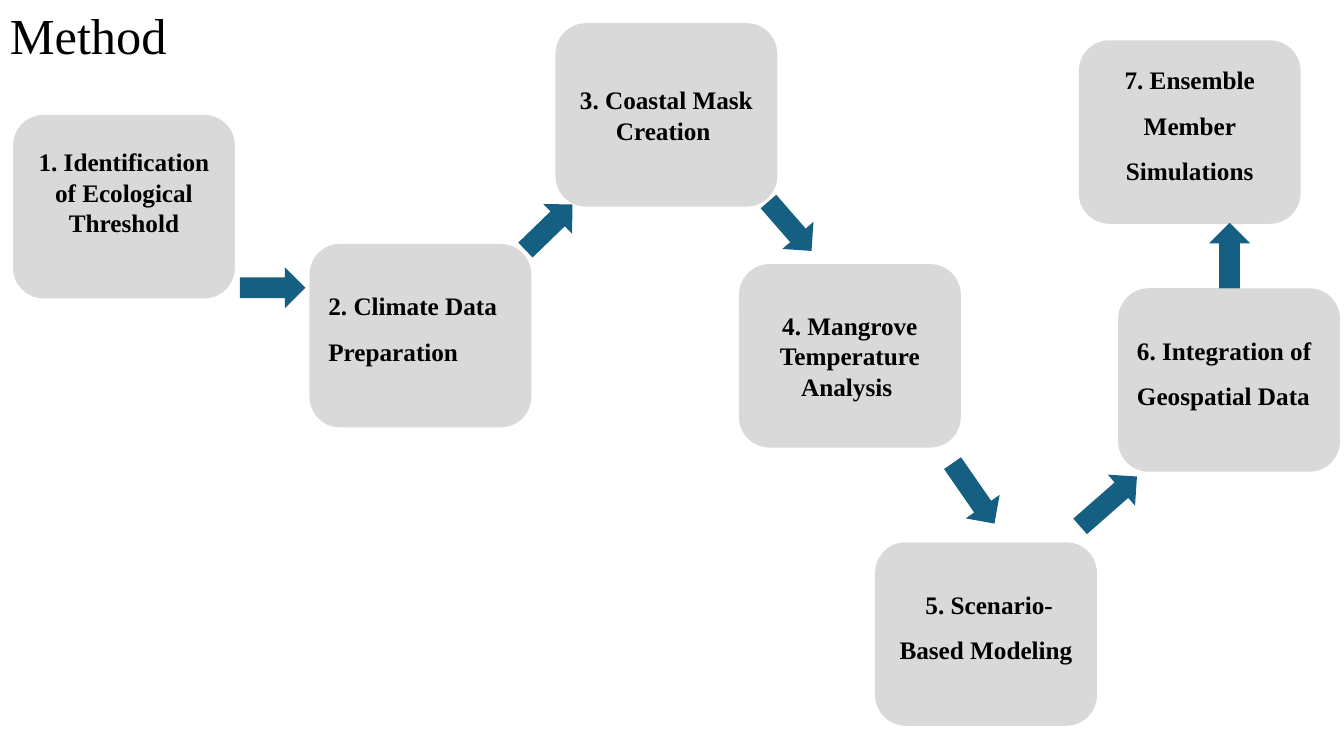
from dataclasses import dataclass

from pptx import Presentation
from pptx.dml.color import RGBColor
from pptx.enum.shapes import MSO_SHAPE
from pptx.enum.text import MSO_ANCHOR, PP_ALIGN
from pptx.slide import Slide
from pptx.util import Inches, Pt

ROUNDED = MSO_SHAPE.ROUNDED_RECTANGLE
ARROW = MSO_SHAPE.RIGHT_ARROW
MIDDLE = MSO_ANCHOR.MIDDLE
LEFT = PP_ALIGN.LEFT
CENTER = PP_ALIGN.CENTER

STEP_WIDTH, STEP_HEIGHT = 2.2, 1.82
ARROW_HEIGHT = 0.41
INSET = 0.05
LIFT = 0.29


@dataclass(frozen=True)
class Theme:
    font: str = "Times New Roman"
    title_size: int = 36
    step_size: int = 18
    text: RGBColor = RGBColor(0x00, 0x00, 0x00)
    step_fill: RGBColor = RGBColor(0xD9, 0xD9, 0xD9)
    arrow_fill: RGBColor = RGBColor(0x15, 0x60, 0x82)


@dataclass(frozen=True)
class Step:
    text: str
    left: float
    top: float
    align: PP_ALIGN = CENTER
    spacing: float = 1.0
    lifted: bool = True


@dataclass(frozen=True)
class Arrow:
    left: float
    top: float
    angle: float = 0
    width: float = 0.65


THEME = Theme()

STEPS = [
    Step("1. Identification of Ecological Threshold", 0.13, 1.14),
    Step("2. Climate Data Preparation", 3.07, 2.42, LEFT, 1.5),
    Step("3. Coastal Mask Creation ", 5.51, 0.23, lifted=False),
    Step("4. Mangrove Temperature Analysis ", 7.33, 2.62, lifted=False),
    Step(" 5. Scenario-Based Modeling", 8.68, 5.38, spacing=1.5),
    Step("6. Integration of Geospatial Data", 11.09, 2.86, LEFT, 1.5),
    Step("7. Ensemble Member Simulations", 10.7, 0.4, spacing=1.5),
]

ARROWS = [
    Arrow(2.38, 2.65),
    Arrow(5.12, 2.05, 315.9),
    Arrow(7.51, 2.04, 48.9),
    Arrow(9.29, 4.69, 55.3, 0.73),
    Arrow(10.62, 4.77, 318.7, 0.75),
    Arrow(11.87, 2.33, 270),
]


def write_text(sp, text: str, size: int, bold: bool, align: PP_ALIGN,
               spacing: float) -> None:
    tf = sp.text_frame
    tf.word_wrap = True
    tf.vertical_anchor = MIDDLE
    p = tf.paragraphs[0]
    p.alignment = align
    p.line_spacing = spacing
    r = p.add_run()
    r.text = text
    r.font.name = THEME.font
    r.font.size = Pt(size)
    r.font.bold = bold
    r.font.color.rgb = THEME.text


def add_filled_shape(s: Slide, kind: MSO_SHAPE, left: float, top: float,
                     width: float, height: float, fill: RGBColor):
    sp = s.shapes.add_shape(kind, Inches(left), Inches(top),
                            Inches(width), Inches(height))
    sp.shadow.inherit = False
    sp.fill.solid()
    sp.fill.fore_color.rgb = fill
    sp.line.fill.background()
    return sp


def add_title(s: Slide, text: str) -> None:
    sp = s.shapes.add_textbox(Inches(0), Inches(0.02),
                              Inches(13.33), Inches(0.72))
    write_text(sp, text, THEME.title_size, False, LEFT, 0.9)


def add_step(s: Slide, step: Step) -> None:
    """Draw one step; a lifted step has its text half a line above centre."""
    sp = add_filled_shape(s, ROUNDED, step.left, step.top,
                          STEP_WIDTH, STEP_HEIGHT, THEME.step_fill)
    write_text(sp, step.text, THEME.step_size, True, step.align, step.spacing)
    if step.lifted:
        sp.text_frame.margin_bottom = Inches(INSET + LIFT)


def add_arrow(s: Slide, arrow: Arrow) -> None:
    sp = add_filled_shape(s, ARROW, arrow.left, arrow.top,
                          arrow.width, ARROW_HEIGHT, THEME.arrow_fill)
    sp.rotation = arrow.angle


def main() -> None:
    prs = Presentation()
    prs.slide_width = Inches(13.33)
    prs.slide_height = Inches(7.5)
    s = prs.slides.add_slide(prs.slide_layouts[6])
    add_title(s, "Method")
    for step in STEPS:
        add_step(s, step)
    for arrow in ARROWS:
        add_arrow(s, arrow)
    prs.save("out.pptx")


if __name__ == "__main__":
    main()
